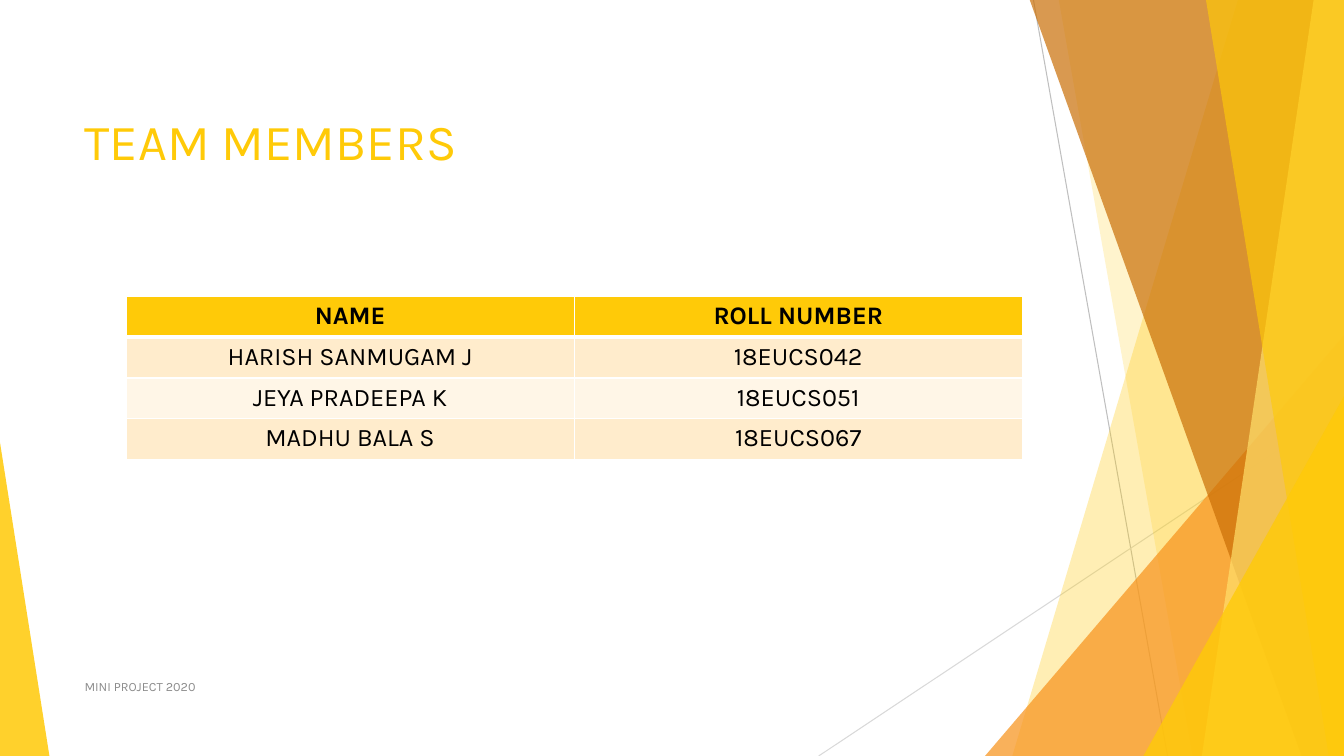
"""Build the team members slide with its faceted golden border."""
from lxml.etree import SubElement
from pptx import Presentation
from pptx.dml.color import RGBColor
from pptx.enum.shapes import MSO_CONNECTOR, MSO_SHAPE
from pptx.enum.text import MSO_ANCHOR, PP_ALIGN
from pptx.oxml.ns import qn
from pptx.util import Inches, Pt

GOLD = RGBColor(0xFF, 0xCA, 0x08)
PALE_GOLD = RGBColor(0xFF, 0xDF, 0x6B)
ORANGE = RGBColor(0xF8, 0x93, 0x1D)
BROWN = RGBColor(0xCA, 0x6F, 0x06)
BAND_DARK = RGBColor(0xFF, 0xEC, 0xCC)
BAND_LIGHT = RGBColor(0xFF, 0xF6, 0xE7)
BLACK = RGBColor(0, 0, 0)
WHITE = RGBColor(0xFF, 0xFF, 0xFF)
FOOTER_GRAY = RGBColor(0x8C, 0x8C, 0x8C)
LINE_GRAY = RGBColor(0xBF, 0xBF, 0xBF)
LINE_LIGHT = RGBColor(0xD9, 0xD9, 0xD9)
FONT = "Karla"
WIDTH, HEIGHT, TOP = 13.33, 7.5, -0.01


def paint(s, color, opacity):
    s.shadow.inherit = False
    s.line.fill.background()
    s.fill.solid()
    s.fill.fore_color.rgb = color
    clr = s.fill._xPr.find(qn("a:solidFill"))[0]
    SubElement(clr, qn("a:alpha"), val=str(opacity * 1000))


def write(tf, text, size, color, bold=False, align=PP_ALIGN.LEFT):
    tf.word_wrap = True
    p = tf.paragraphs[0]
    p.alignment = align
    r = p.add_run()
    r.text = text
    r.font.color.rgb = color
    for name, value in {"name": FONT, "size": Pt(size), "bold": bold}.items():
        setattr(r.font, name, value)


prs = Presentation()
prs.slide_width, prs.slide_height = Inches(WIDTH), Inches(HEIGHT)
slide = prs.slides.add_slide(prs.slide_layouts[5])
shapes = slide.shapes

for x1, y1, x2, y2, color in [
    (10.25, 0, 11.58, HEIGHT, LINE_GRAY),
    (WIDTH, 4.03, 8.12, HEIGHT, LINE_LIGHT),
]:
    line = shapes.add_connector(MSO_CONNECTOR.STRAIGHT, Inches(x1), Inches(y1), Inches(x2), Inches(y2))
    line.line.color.rgb = color
    line.line.width = Pt(0.75)
    SubElement(line._element.spPr, qn("a:effectLst"))

# (top x, bottom x) facets run to the right edge; four numbers give a triangle's box
for geometry, color, opacity in [
    ((12.28, 10.04), GOLD, 30),
    ((10.5, 11.83), GOLD, 20),
    ((9.77, 3.33, 3.56, 1), ORANGE, 72),
    ((10.21, 12.91), BROWN, 70),
    ((13.03, 11.92), PALE_GOLD, 70),
    ((11.96, 13.18), GOLD, 65),
    ((11.34, 3.93, 1.99, 1), GOLD, 80),
    ((0, 4.39, 0.49, 0), GOLD, 85),
]:
    if len(geometry) == 2:
        top_x, bottom_x = geometry
        outline = shapes.build_freeform(Inches(top_x), Inches(TOP))
        corners = [(WIDTH, TOP), (WIDTH, HEIGHT), (bottom_x, HEIGHT)]
        outline.add_line_segments([(Inches(x), Inches(y)) for x, y in corners])
        s = outline.convert_to_shape()
    else:
        left, top, width, apex = geometry
        s = shapes.add_shape(MSO_SHAPE.ISOSCELES_TRIANGLE, Inches(left), Inches(top),
                             Inches(width), Inches(HEIGHT - top))
        s.adjustments[0] = apex
    paint(s, color, opacity)

title = shapes.title
title.left, title.top, title.width, title.height = Inches(0.74), Inches(0.67), Inches(9.4), Inches(1.44)
title.text_frame.vertical_anchor = MSO_ANCHOR.MIDDLE
write(title.text_frame, "TEAM MEMBERS", 36, GOLD)

rows = [
    ("NAME", "ROLL NUMBER"),
    ("HARISH SANMUGAM J", "18EUCS042"),
    ("JEYA PRADEEPA K", "18EUCS051"),
    ("MADHU BALA S", "18EUCS067"),
]
table = shapes.add_table(len(rows), 2, Inches(1.25), Inches(2.94), Inches(8.89), Inches(1.62)).table
for i, row in enumerate(rows):
    header = i == 0
    for j, text in enumerate(row):
        cell = table.cell(i, j)
        tcPr = cell._tc.get_or_add_tcPr()
        for side in "LRTB":
            thick = (header and side == "B") or (i == 1 and side == "T")
            ln = SubElement(tcPr, qn(f"a:ln{side}"), w=str(Pt(3 if thick else 1)))
            SubElement(SubElement(ln, qn("a:solidFill")), qn("a:srgbClr"), val=str(WHITE))
        cell.fill.solid()
        cell.fill.fore_color.rgb = GOLD if header else BAND_DARK if i % 2 else BAND_LIGHT
        write(cell.text_frame, text, 18, BLACK, header, PP_ALIGN.CENTER)

footer = shapes.add_textbox(Inches(0.74), Inches(6.61), Inches(6.89), Inches(0.4))
footer.text_frame.vertical_anchor = MSO_ANCHOR.MIDDLE
write(footer.text_frame, "MINI PROJECT 2020", 9, FOOTER_GRAY)

prs.save("out.pptx")
